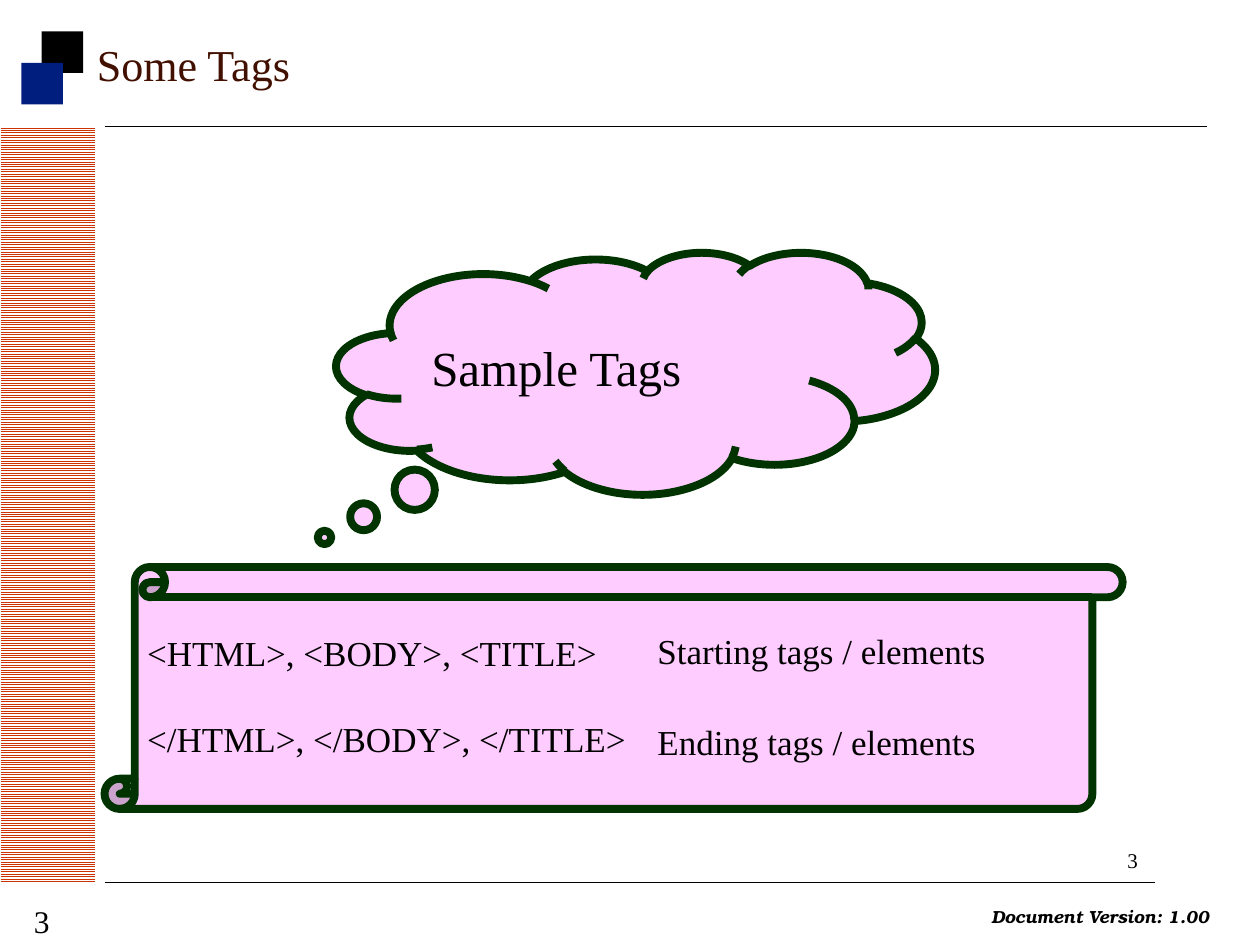
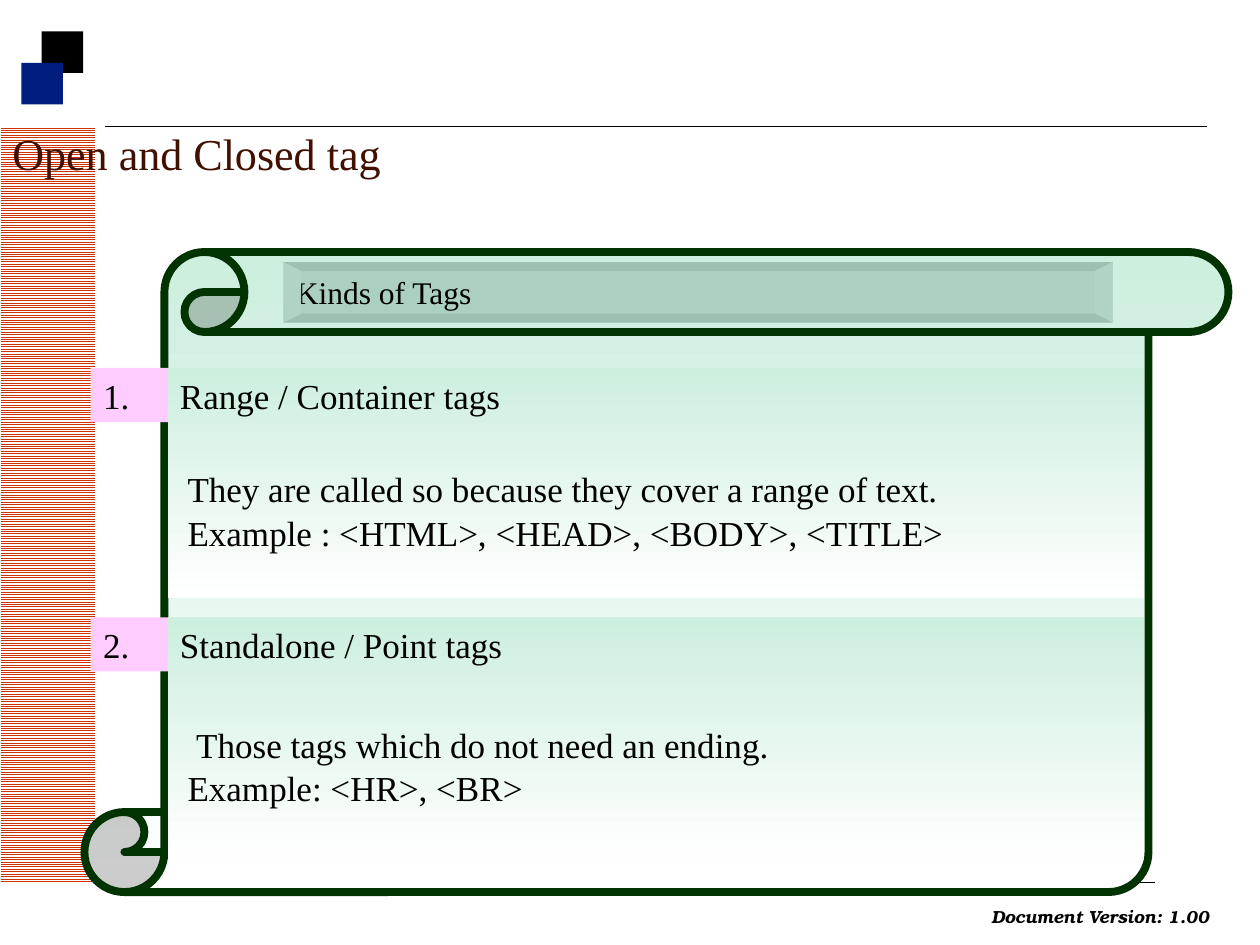
from pptx import Presentation
from pptx.dml.color import RGBColor
from pptx.enum.dml import MSO_PATTERN as Pattern
from pptx.enum.shapes import MSO_CONNECTOR as Connector, MSO_SHAPE as Shape
from pptx.enum.text import MSO_ANCHOR as Anchor, PP_ALIGN as Align
from pptx.oxml.ns import qn
from pptx.util import Inches, Pt
from lxml import etree

# Content
TAGS_TITLE = "Some Tags"
TAGS_PAGE = "3"
CLOUD_TEXT = "Sample Tags"
TAG_LINES = ["<HTML>, <BODY>, <TITLE>", "</HTML>, </BODY>, </TITLE>"]
TAG_NOTES = ["Starting tags / elements", "Ending tags / elements"]

KINDS_TITLE = "Open and Closed tag"
KINDS_HEADING = "Kinds of Tags"
KINDS = [  # name, lines, first-line indent, top, height, text top, text height
    ("Range / Container tags",
     ["They are called so because they cover a range of text.",
      "Example : <HTML>, <HEAD>, <BODY>, <TITLE>"], 0, 2.92, 1.83, 3.6, 0.9),
    ("Standalone / Point tags",
     ["Those tags which do not need an ending.",
      "Example: <HR>, <BR>"], 5, 4.9, 1.93, 5.57, 1.02),
]
VERSION = "Document Version: 1.00"

# Shared style
WIDTH, HEIGHT = 10, 7.5
SERIF, FOOTER_FONT = "Times New Roman", "TeX Gyre Bonum"
BLACK = RGBColor(0x00, 0x00, 0x00)
WHITE = RGBColor(0xFF, 0xFF, 0xFF)
NAVY = RGBColor(0x00, 0x1E, 0x7E)
STRIPE = RGBColor(0xCC, 0x33, 0x00)
TITLE_BROWN = RGBColor(0x42, 0x10, 0x00)
PINK = RGBColor(0xFF, 0xCC, 0xFF)
DARK_GREEN = RGBColor(0x00, 0x33, 0x00)
MINT = RGBColor(0xCD, 0xEF, 0xDE)
PLATE = RGBColor(0xAB, 0xD0, 0xBF)
PLATE_EDGE = RGBColor(0x9E, 0xC0, 0xB0)
PLATE_SIDE = RGBColor(0xB0, 0xD3, 0xC3)
BODY_SIZE = 20
FADE = [MINT, WHITE]


def write(shape, lines, size=BODY_SIZE, color=BLACK, font=SERIF, bold=False,
          anchor=Anchor.TOP, wrap=True, gap=0, indent=0):
    frame = shape.text_frame
    frame.text = "\n".join(lines)
    frame.word_wrap = wrap
    frame.vertical_anchor = anchor
    for number, para in enumerate(frame.paragraphs):
        para.alignment = Align.LEFT
        if number:
            para.space_before = Pt(gap)
        elif indent:
            para._p.get_or_add_pPr().set("indent", str(Pt(indent)))
        for span in para.runs:
            span.font.name, span.font.size = font, Pt(size)
            span.font.color.rgb = color
            span.font.bold = span.font.italic = bold


def paint(shape, fill, outline=None):
    """Fill with one colour, or fade down through a list of two."""
    shape.shadow.inherit = False
    if isinstance(fill, list):
        shape.fill.gradient()
        shape.fill.gradient_angle = 270
        for stop, color in zip(shape.fill.gradient_stops, fill):
            stop.color.rgb = color
    else:
        shape.fill.solid()
        shape.fill.fore_color.rgb = fill
    if outline:
        shape.line.color.rgb = outline
        shape.line.width = Pt(4.5)
    else:
        shape.line.fill.background()


def add_box(page, kind, place, fill, outline=None):
    box = page.shapes.add_shape(kind, *map(Inches, place))
    paint(box, fill, outline)
    return box


def add_text(page, place, lines, **style):
    box = page.shapes.add_textbox(*map(Inches, place))
    write(box, lines, **style)


def add_rule(page, right, y):
    rule = page.shapes.add_connector(
        Connector.STRAIGHT, *map(Inches, (0.83, y, right, y)))
    rule.line.color.rgb = BLACK
    rule.line.width = Pt(0.25)
    etree.SubElement(rule._element.spPr, qn("a:effectLst"))


def add_page(deck):
    """Start a slide with the side band, squares, rules and footer."""
    page = deck.slides.add_slide(deck.slide_layouts[6])
    band = add_box(page, Shape.RECTANGLE, (-2.62, 3.62, 6, 0.75), WHITE)
    band.rotation = 270
    band.fill.patterned()
    band.fill.pattern = Pattern.LIGHT_HORIZONTAL
    band.fill.fore_color.rgb, band.fill.back_color.rgb = STRIPE, WHITE
    for left, top, color in ((0.33, 0.25, BLACK), (0.17, 0.5, NAVY)):
        add_box(page, Shape.RECTANGLE, (left, top, 0.33, 0.33), color)
    add_rule(page, 9.58, 1)
    add_rule(page, 9.17, 7)
    add_text(page, (7.77, 7.14, 1.94, 0.27), [VERSION], size=10,
             font=FOOTER_FONT, bold=True, wrap=False)
    return page


def add_title(page, left, top, text):
    add_text(page, (left, top, WIDTH - left, 0.55), [text],
             size=25.2, color=TITLE_BROWN)


def add_plate(page, left, top, width, height, text):
    """Bevelled heading: a face framed by four sloping edges."""
    right, bottom, dx, dy = left + width, top + height, 0.14, 0.07
    face = add_box(page, Shape.RECTANGLE, (left, top, width, height), PLATE)
    outer = [(left, top), (right, top), (right, bottom), (left, bottom)]
    inner = [(left + dx, top + dy), (right - dx, top + dy),
             (right - dx, bottom - dy), (left + dx, bottom - dy)]
    for side in range(4):
        after = (side + 1) % 4
        start, *rest = [tuple(map(Inches, point)) for point in
                        (outer[side], outer[after], inner[after], inner[side])]
        builder = page.shapes.build_freeform(*start)
        builder.add_line_segments(rest)
        paint(builder.convert_to_shape(), PLATE_SIDE if side % 2 else PLATE_EDGE)
    write(face, [text], size=18, anchor=Anchor.MIDDLE)


def build_tags(deck):
    page = add_page(deck)
    add_text(page, (8.85, 6.68, 0.4, 0.3), [TAGS_PAGE], size=12, wrap=False)
    add_title(page, 0.67, 0.25, TAGS_TITLE)
    add_text(page, (0.17, 7.11, 1.1, 0.35), [TAGS_PAGE], size=18)
    scroll = add_box(page, Shape.VERTICAL_SCROLL, (0.83, 4.5, 8.08, 1.92),
                     PINK, DARK_GREEN)
    write(scroll, TAG_LINES, anchor=Anchor.MIDDLE, gap=25)
    cloud = add_box(page, Shape.CLOUD_CALLOUT, (2.67, 2, 4.75, 1.92),
                    PINK, DARK_GREEN)
    cloud.adjustments[0], cloud.adjustments[1] = -0.52, 0.68
    write(cloud, [CLOUD_TEXT], size=28, anchor=Anchor.MIDDLE)
    for row, note in enumerate(TAG_NOTES):
        add_text(page, (5.12, 4.95 + 0.72 * row, 3.96, 0.5), [note])


def build_kinds(deck):
    page = add_page(deck)
    add_box(page, Shape.VERTICAL_SCROLL, (0.67, 2, 9.08, 5.08), FADE, DARK_GREEN)
    for number, kind in enumerate(KINDS, 1):
        name, lines, indent, top, height, text_top, text_height = kind
        label = add_box(page, Shape.RECTANGLE, (0.72, top, 0.62, 0.43), PINK)
        write(label, [f"{number}."])
        panel = add_box(page, Shape.RECTANGLE, (1.33, top, 7.75, height), FADE)
        write(panel, [name])
        add_text(page, (1.39, text_top, 7.36, text_height), lines,
                 anchor=Anchor.MIDDLE, gap=1, indent=indent)
    add_plate(page, 2.25, 2.08, 6.58, 0.48, KINDS_HEADING)
    add_title(page, 0, 0.95, KINDS_TITLE)


def main():
    deck = Presentation()
    deck.slide_width, deck.slide_height = Inches(WIDTH), Inches(HEIGHT)
    build_tags(deck)
    build_kinds(deck)
    deck.save("out.pptx")


if __name__ == "__main__":
    main()
